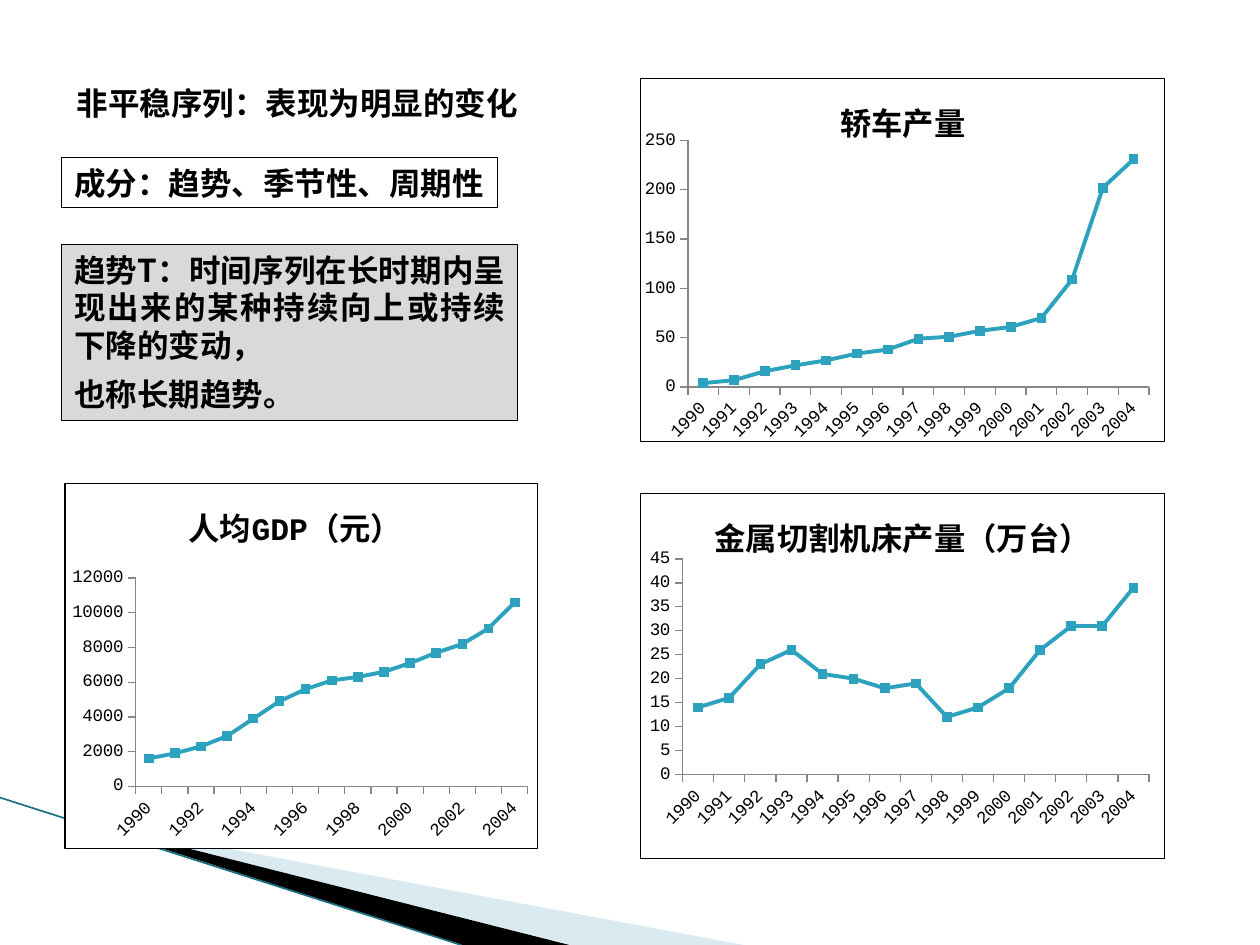
"""Build a slide on non-stationary series with three line charts."""
from lxml import etree
from pptx import Presentation
from pptx.chart.data import CategoryChartData
from pptx.dml.color import RGBColor
from pptx.enum.chart import XL_CHART_TYPE as ChartType, XL_MARKER_STYLE as Marker, XL_TICK_MARK as Tick
from pptx.enum.shapes import MSO_CONNECTOR as Connector, MSO_SHAPE as Shape
from pptx.enum.text import MSO_ANCHOR as Anchor, MSO_AUTO_SIZE as AutoSize, PP_ALIGN as Align
from pptx.oxml import parse_xml
from pptx.oxml.ns import nsdecls, qn
from pptx.util import Inches, Pt

BLACK = RGBColor(0x00, 0x00, 0x00)
WHITE = RGBColor(0xFF, 0xFF, 0xFF)
GRAY = RGBColor(0xD9, 0xD9, 0xD9)
AXIS_GRAY = RGBColor(0x86, 0x86, 0x86)
TEAL = RGBColor(0x2D, 0xA2, 0xBF)
DARK_TEAL = RGBColor(0x1B, 0x6F, 0x84)
PALE_BLUE = RGBColor(0xA0, 0xCB, 0xDC)
SERIF, MONO, CHINESE = "Times New Roman", "Courier New", "Noto Sans CJK SC"


def style_runs(paragraph, latin):
    for run in paragraph.runs:
        run.font.size = Pt(18)
        run.font.bold = True
        run.font.color.rgb = BLACK
        run.font.name = latin
        etree.SubElement(run.font._element, qn("a:ea")).set("typeface", CHINESE)


def layout_xml(left, top, size=None, inner=False):
    values = [("x", left), ("y", top)] + list(zip("wh", size or ()))
    target = '<c:layoutTarget val="inner"/>' if inner else ""
    modes = '<c:xMode val="edge"/><c:yMode val="edge"/>'
    numbers = "".join(f'<c:{name} val="{value}"/>' for name, value in values)
    return parse_xml(f'<c:layout {nsdecls("c")}><c:manualLayout>{target}{modes}{numbers}'
                     '</c:manualLayout></c:layout>')


presentation = Presentation()
presentation.slide_width = Inches(10)
presentation.slide_height = Inches(7.5)
slide = presentation.slides.add_slide(presentation.slide_layouts[5])
shapes = slide.shapes

wedges = [
    ([(0.55, 6.5), (5.9, 7.5), (4.54, 7.5)], PALE_BLUE, 40),
    ([(0.53, 6.49), (4.52, 7.5), (3.67, 7.5)], BLACK, 100),
]
for points, color, opacity in wedges:
    corners = [(Inches(x), Inches(y)) for x, y in points]
    builder = shapes.build_freeform(*corners[0], scale=1)
    builder.add_line_segments(corners[1:], close=True)
    wedge = builder.convert_to_shape()
    wedge.shadow.inherit = False
    wedge.fill.solid()
    wedge.fill.fore_color.rgb = color
    wedge.line.fill.background()
    if opacity < 100:
        rgb = wedge._element.spPr.find(qn("a:solidFill")).find(qn("a:srgbClr"))
        etree.SubElement(rgb, qn("a:alpha")).set("val", str(opacity * 1000))

edge = shapes.add_connector(Connector.STRAIGHT, Inches(0), Inches(6.33), Inches(3.66), Inches(7.5))
edge.line.color.rgb = DARK_TEAL
edge.line.width = Pt(0.95)
etree.SubElement(edge._element.spPr, qn("a:effectLst"))

title = shapes.title
title.left, title.top, title.width, title.height = Inches(0.51), Inches(0.62), Inches(3.91), Inches(0.4)
components = shapes.add_shape(Shape.RECTANGLE, Inches(0.49), Inches(1.25), Inches(3.46), Inches(0.4))
trend = shapes.add_shape(Shape.RECTANGLE, Inches(0.49), Inches(1.94), Inches(3.62), Inches(1.4))

for box, color in [(components, WHITE), (trend, GRAY)]:
    box.shadow.inherit = False
    box.fill.solid()
    box.fill.fore_color.rgb = color
    box.line.color.rgb = BLACK
    box.line.width = Pt(0.75)

texts = [
    (title, "非平稳序列：表现为明显的变化", Align.JUSTIFY),
    (components, "成分：趋势、季节性、周期性", Align.LEFT),
    (trend, "趋势T：时间序列在长时期内呈现出来的某种持续向上或持续下降的变动，\n也称长期趋势。", Align.JUSTIFY),
]
for box, text, alignment in texts:
    frame = box.text_frame
    frame.text = text
    frame.word_wrap = True
    frame.auto_size = AutoSize.NONE
    frame.vertical_anchor = Anchor.TOP
    for index, paragraph in enumerate(frame.paragraphs):
        paragraph.alignment = alignment
        paragraph.space_before = Pt(6 if index else 0)
        style_runs(paragraph, CHINESE if box is trend else SERIF)

years = [str(year) for year in range(1990, 2005)]
charts = [
    ("人均GDP（元）", (0.51, 3.83, 3.76, 2.91), 0.25, (0.15, 0.26, 0.83, 0.57), 12000, 2000, 2,
     [1600, 1900, 2300, 2900, 3900, 4900, 5600, 6100, 6300, 6600, 7100, 7700, 8200, 9100, 10600]),
    ("金属切割机床产量（万台）", (5.08, 3.91, 4.17, 2.91), 0.13, (0.08, 0.18, 0.89, 0.59), 45, 5, 1,
     [14, 16, 23, 26, 21, 20, 18, 19, 12, 14, 18, 26, 31, 31, 39]),
    ("轿车产量", (5.08, 0.62, 4.17, 2.89), 0.37, (0.09, 0.17, 0.88, 0.68), 250, 50, 1,
     [4, 7, 16, 22, 27, 34, 38, 49, 51, 57, 61, 70, 109, 202, 231]),
]
for name, place, title_left, plot, maximum, step, label_step, values in charts:
    data = CategoryChartData()
    data.categories = years
    data.add_series(name, values)
    chart = shapes.add_chart(ChartType.LINE_MARKERS, *map(Inches, place), data).chart
    chart.has_legend = False
    chart.font.size = Pt(10)
    chart.font.name = MONO
    chart.font.color.rgb = BLACK

    chart.has_title = True
    chart.chart_title.text_frame.text = name
    style_runs(chart.chart_title.text_frame.paragraphs[0], MONO)
    chart_title = chart.chart_title._element
    for layout in chart_title.findall(qn("c:layout")):
        chart_title.remove(layout)
    chart_title.find(qn("c:tx")).addnext(layout_xml(title_left, 0.03))
    chart.chart_title.include_in_layout = True

    plot_area = chart._chartSpace.chart.plotArea
    for layout in plot_area.findall(qn("c:layout")):
        plot_area.remove(layout)
    plot_area.insert(0, layout_xml(*plot[:2], plot[2:], inner=True))
    frame_style = parse_xml(
        f'<c:spPr {nsdecls("c", "a")}><a:solidFill><a:srgbClr val="{WHITE}"/></a:solidFill>'
        f'<a:ln w="{Pt(0.75)}"><a:solidFill><a:srgbClr val="{BLACK}"/></a:solidFill></a:ln></c:spPr>')
    chart._chartSpace.chart.addnext(frame_style)

    for axis in (chart.category_axis, chart.value_axis):
        axis.has_major_gridlines = False
        axis.major_tick_mark = Tick.OUTSIDE
        axis.minor_tick_mark = Tick.NONE
        axis.format.line.color.rgb = AXIS_GRAY
        axis.format.line.width = Pt(0.75)
        axis.tick_labels.font.size = Pt(10)
    chart.value_axis.minimum_scale = 0
    chart.value_axis.maximum_scale = maximum
    chart.value_axis.major_unit = step
    category_axis = chart.category_axis._element
    category_axis.find(qn("c:txPr")).find(qn("a:bodyPr")).set("rot", "-2700000")
    label_skip = parse_xml(f'<c:tickLblSkip {nsdecls("c")} val="{label_step}"/>')
    category_axis.find(qn("c:noMultiLvlLbl")).addprevious(label_skip)

    chart.plots[0].vary_by_categories = False
    series = chart.plots[0].series[0]
    series.smooth = False
    series.format.line.color.rgb = TEAL
    series.format.line.width = Pt(2.25)
    series.marker.style = Marker.SQUARE
    series.marker.size = 5
    series.marker.format.fill.solid()
    series.marker.format.fill.fore_color.rgb = TEAL
    series.marker.format.line.color.rgb = TEAL

presentation.save("out.pptx")
